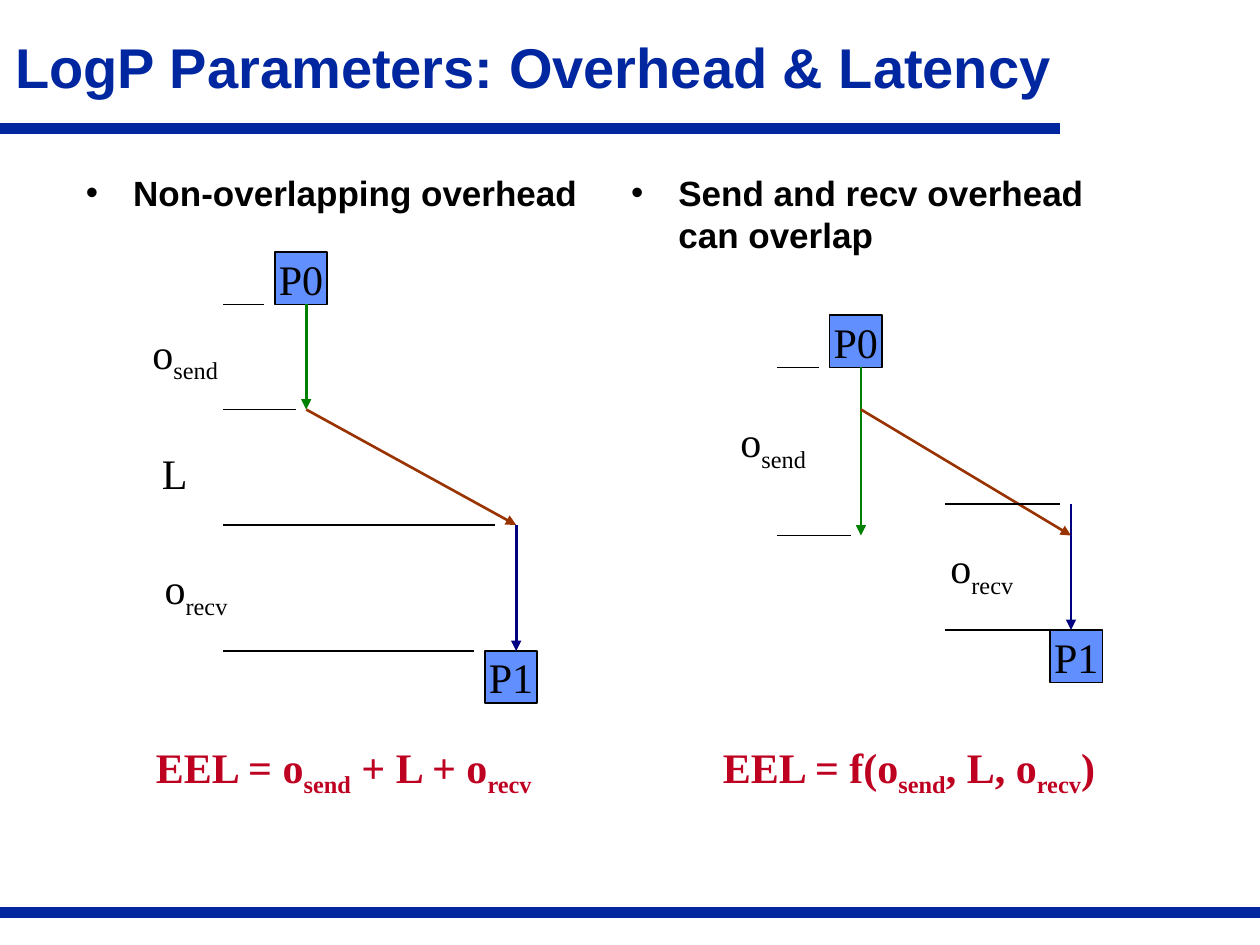
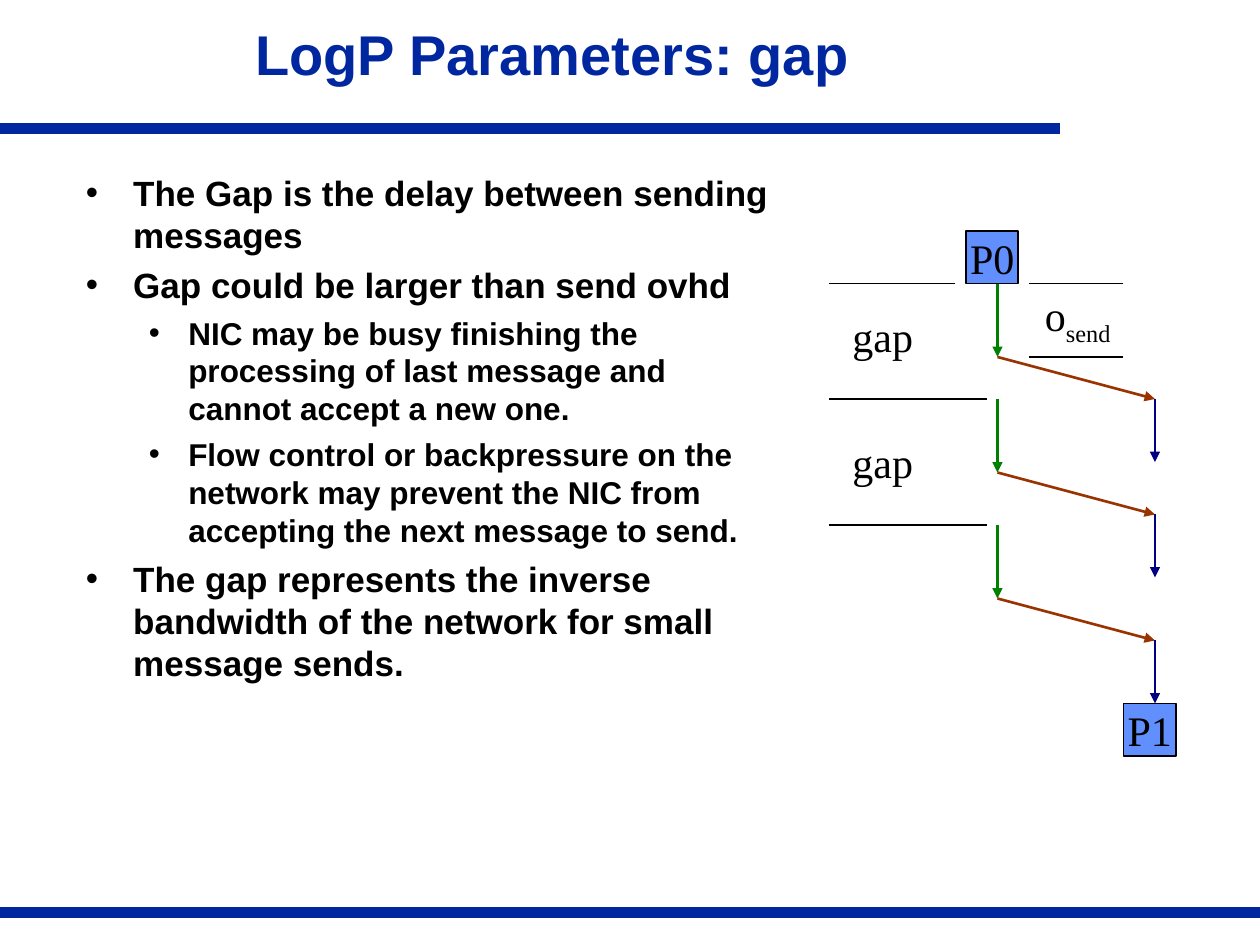
from pptx import Presentation
from pptx.dml.color import RGBColor
from pptx.enum import shapes, text
from pptx.oxml.ns import qn
from pptx.util import Pt
from lxml import etree

NAVY = RGBColor(0x00, 0x27, 0x9F)
BLACK = RGBColor(0, 0, 0)
BLUE = RGBColor(0x61, 0x8F, 0xFD)
RED = RGBColor(0xBF, 0x01, 0x21)
SEND = RGBColor(0x00, 0x80, 0x00)
WIRE = RGBColor(0x99, 0x33, 0x00)
RECV = RGBColor(0x00, 0x00, 0x80)

HEAD = dict(name="Arial", size=Pt(32), bold=True, color=NAVY)
BODY = [dict(name="Arial", size=Pt(20), bold=True, color=BLACK),
        dict(name="Arial", size=Pt(18), bold=True, color=BLACK)]
LABEL = dict(name="Times New Roman", size=Pt(24), bold=False, color=BLACK)
SUM = {**LABEL, "bold": True, "color": RED}
DENT = [(27, 27, 5), (58.5, 22.5, 4.5)]  # left, hanging, space before
SIDE = 30  # side of a processor box

# Gap slide: times at which each message starts, and the length of its steps
STARTS, OSEND, FLY, ORECV = (162, 228, 300), 42, 24, 36
X0, X1 = 570, 660  # time lines of P0 and P1

# Labels put subscripts between bars
SLIDES = [
    dict(
        title=("LogP Parameters: Overhead & Latency", 0, 12, 610, 58),
        lists=[
            (42, 300, [(0, "Non-overlapping overhead")]),
            (353.5, 300, [(0, "Send and recv overhead can overlap")]),
        ],
        nodes=[("P0", 157, 144), ("P1", 277, 372),
               ("P0", 474, 180), ("P1", 600, 360)],
        arrows=[
            (SEND, 175, 174, 175, 234), (WIRE, 175, 234, 295, 300),
            (RECV, 295, 300, 295, 372),
            (SEND, 492, 210, 492, 306), (WIRE, 492, 234, 612, 306),
            (RECV, 612, 288, 612, 360),
        ],
        ticks=[
            (127.5, 151, 174), (127.5, 169, 234),
            (127.5, 283, 300), (127.5, 271, 372),
            (444, 468, 210), (444, 486, 306),
            (540, 606, 288), (540, 600, 360),
        ],
        labels=[
            ("o|send|", 80, 183.5, 54, LABEL), ("L", 85.5, 252, 30, LABEL),
            ("o|recv|", 87, 318, 54, LABEL),
            ("o|send|", 416, 234, 54, LABEL), ("o|recv|", 536, 306, 54, LABEL),
            ("EEL = o|send| + L + o|recv|", 82, 420, 234, SUM),
            ("EEL = f(o|send|, L, o|recv|)", 406, 420, 232, SUM),
        ],
    ),
    dict(
        title=("LogP Parameters: gap", 20, 4.3, 591, 58),
        lists=[(42, 408, [
            (0, "The Gap is the delay between sending messages"),
            (0, "Gap could be larger than send ovhd"),
            (1, "NIC may be busy finishing the processing of last message "
                "and cannot accept a new one."),
            (1, "Flow control or backpressure on the network may prevent "
                "the NIC from accepting the next message to send."),
            (0, "The gap represents the inverse bandwidth of the network "
                "for small message sends."),
        ])],
        nodes=[("P0", 552, STARTS[0] - SIDE),
               ("P1", 642, STARTS[-1] + OSEND + FLY + ORECV)],
        arrows=[
            step for y in STARTS for step in (
                (SEND, X0, y, X0, y + OSEND),
                (WIRE, X0, y + OSEND, X1, y + OSEND + FLY),
                (RECV, X1, y + OSEND + FLY, X1, y + OSEND + FLY + ORECV))
        ],
        ticks=[(474, 546, STARTS[0])]
        + [(474, 564, y) for y in STARTS[1:]]
        + [(588, 642, STARTS[0] + dy) for dy in (0, OSEND)],
        labels=[("o|send|", 590, 162, 54, LABEL),
                ("gap", 480, 174, 51, LABEL), ("gap", 480, 246, 51, LABEL)],
    ),
]


def write(para, words, style):
    """Fill a paragraph; every second piece between bars is a subscript."""
    for i, piece in enumerate(words.split("|")):
        if not piece:
            continue
        run = para.add_run()
        run.text = piece
        for key, value in style.items():
            if key == "color":
                run.font.color.rgb = value
            else:
                setattr(run.font, key, value)
        if i % 2:
            run._r.get_or_add_rPr().set("baseline", "-25000")


def box(slide, x, y, w, h, wrap=True):
    frame = slide.shapes.add_textbox(Pt(x), Pt(y), Pt(w), Pt(h)).text_frame
    frame.word_wrap = wrap
    return frame


def line(slide, color, width, x1, y1, x2, y2, tip=False):
    wire = slide.shapes.add_connector(
        shapes.MSO_CONNECTOR.STRAIGHT, Pt(x1), Pt(y1), Pt(x2), Pt(y2))
    wire.line.color.rgb = color
    wire.line.width = Pt(width)
    if tip:
        etree.SubElement(wire.line._get_or_add_ln(), qn("a:tailEnd"),
                         type="triangle")
    etree.SubElement(wire._element.spPr, qn("a:effectLst"))


def node(slide, name, x, y):
    rect = slide.shapes.add_shape(
        shapes.MSO_SHAPE.RECTANGLE, Pt(x), Pt(y), Pt(SIDE), Pt(SIDE))
    rect.shadow.inherit = False
    rect.fill.solid()
    rect.fill.fore_color.rgb = BLUE
    rect.line.color.rgb = BLACK
    rect.line.width = Pt(1)
    frame = rect.text_frame
    frame.word_wrap = False
    frame.vertical_anchor = text.MSO_ANCHOR.MIDDLE
    frame.paragraphs[0].alignment = text.PP_ALIGN.CENTER
    write(frame.paragraphs[0], name, LABEL)


def bullets(slide, x, w, items):
    frame = box(slide, x, 94.2, w, 404)
    for i, (level, words) in enumerate(items):
        para = frame.add_paragraph() if i else frame.paragraphs[0]
        left, hang, gap = DENT[level]
        para.level = level
        props = para._p.get_or_add_pPr()
        props.set("marL", str(Pt(left)))
        props.set("indent", str(-Pt(hang)))
        tint = etree.SubElement(props, qn("a:buClr"))
        etree.SubElement(tint, qn("a:srgbClr"), val=str(BLACK))
        etree.SubElement(props, qn("a:buFont"), typeface=BODY[level]["name"])
        etree.SubElement(props, qn("a:buChar"), char="•")
        para.space_before = Pt(gap if i else 0)
        write(para, words, BODY[level])


def frame_slide(slide, words, *place):
    """Title and the two navy bands."""
    line(slide, NAVY, 6, 0, 73.5, 606, 73.5)
    line(slide, NAVY, 6, 0, 521.3, 720, 521.3)
    frame = box(slide, *place)
    frame.vertical_anchor = text.MSO_ANCHOR.MIDDLE
    para = frame.paragraphs[0]
    para.alignment = text.PP_ALIGN.CENTER
    para.line_spacing = 0.85
    write(para, words, HEAD)


def main():
    deck = Presentation()
    deck.slide_width, deck.slide_height = Pt(720), Pt(540)
    for page in SLIDES:
        slide = deck.slides.add_slide(deck.slide_layouts[6])
        frame_slide(slide, *page["title"])
        for part in page["lists"]:
            bullets(slide, *part)
        # Diagram
        for part in page["nodes"]:
            node(slide, *part)
        for color, *ends in page["arrows"]:
            line(slide, color, 1.5, *ends, tip=True)
        for x1, x2, y in page["ticks"]:
            line(slide, BLACK, 1, x2, y, x1, y)
        for words, x, y, w, style in page["labels"]:
            # Fixed boxes, a little wider than their words
            frame = box(slide, x, y, w, 40 if "|" in words else 36, wrap=False)
            write(frame.paragraphs[0], words, style)
    deck.save("out.pptx")


if __name__ == "__main__":
    main()
